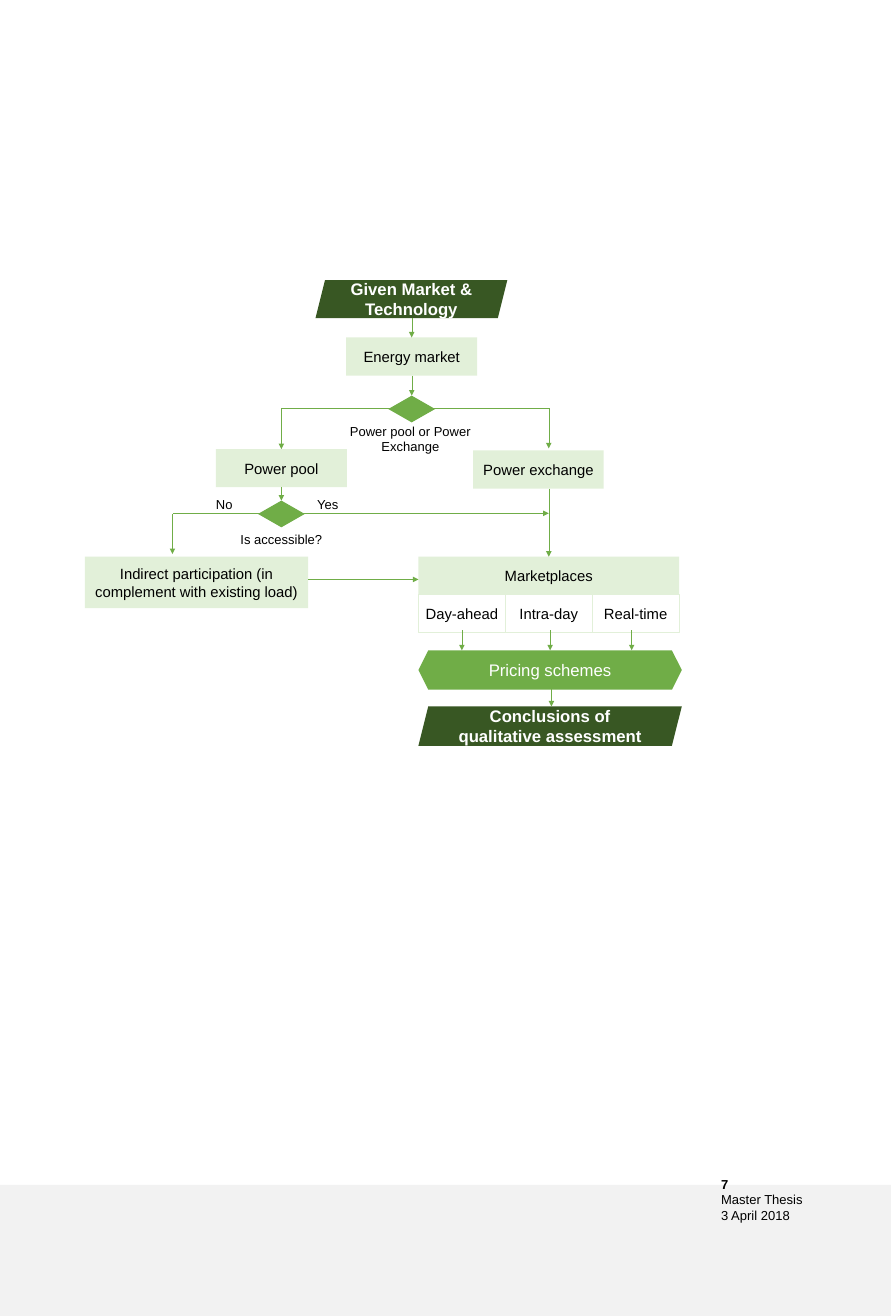
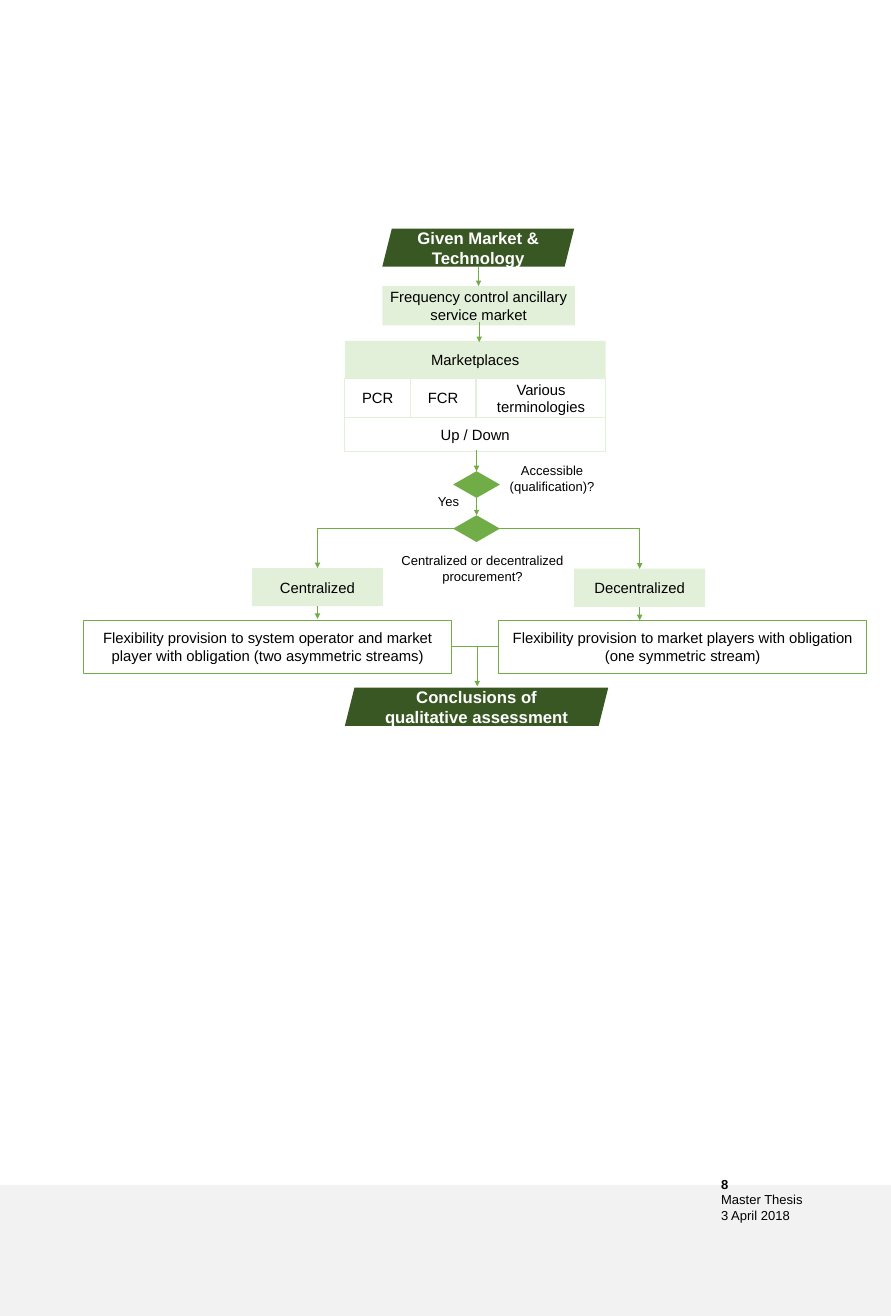
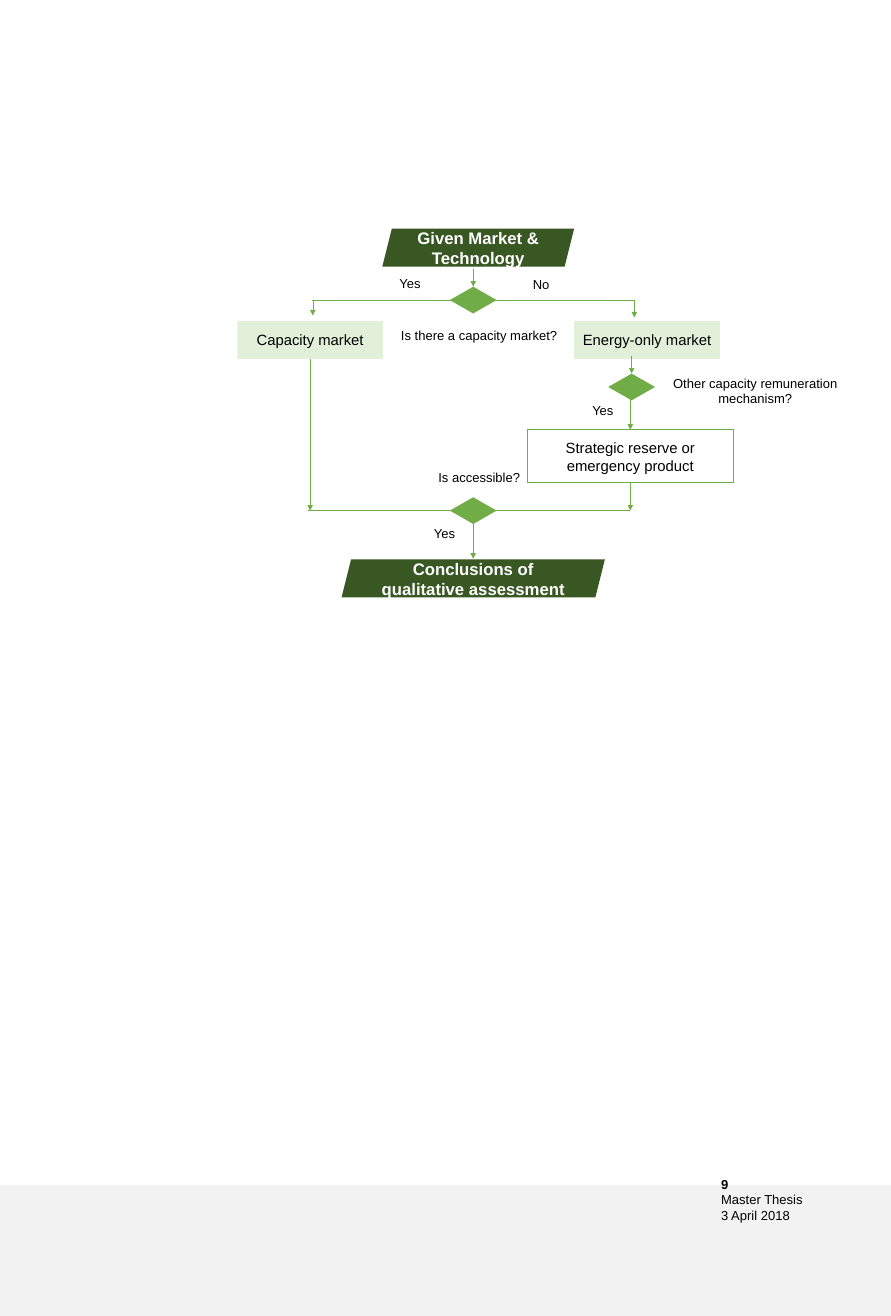
from lxml import etree
from pptx import Presentation
from pptx.dml.color import RGBColor
from pptx.enum.shapes import MSO_CONNECTOR, MSO_SHAPE
from pptx.enum.text import MSO_ANCHOR, PP_ALIGN
from pptx.oxml.ns import qn
from pptx.util import Pt

RECT, DIAMOND = MSO_SHAPE.RECTANGLE, MSO_SHAPE.DIAMOND
SLANTED, HEXAGON = MSO_SHAPE.PARALLELOGRAM, MSO_SHAPE.HEXAGON
STRAIGHT = MSO_CONNECTOR.STRAIGHT
CENTER, MIDDLE = PP_ALIGN.CENTER, MSO_ANCHOR.MIDDLE

PX = 9144  # 100 px to the inch
WIDTH, HEIGHT = 1333, 1969

THEME = {
    "font": "Arial",
    "dark": RGBColor(0x38, 0x57, 0x23),
    "green": RGBColor(0x70, 0xAD, 0x47),
    "pale": RGBColor(0xE2, 0xF0, 0xD9),
    "band": RGBColor(0xF2, 0xF2, 0xF2),
    "ink": RGBColor(0, 0, 0),
    "white": RGBColor(0xFF, 0xFF, 0xFF),
    "heading": Pt(18),
    "body": Pt(16),
    "small": Pt(14),
    "border": Pt(1),
    "arrow": Pt(0.5),
}

# kind: preset (None for plain text), fill, border, type size, text colour, bold
KINDS = {
    "terminal": (SLANTED, "dark", None, "heading", "white", True),
    "scheme": (HEXAGON, "green", None, "heading", "white", False),
    "step": (RECT, "pale", None, "body", "ink", False),
    "cell": (RECT, None, "pale", "body", "ink", False),
    "outcome": (RECT, None, "green", "body", "ink", False),
    "decision": (DIAMOND, "green", None, "small", "ink", False),
    "label": (None, None, None, "small", "ink", False),
    "band": (RECT, "band", None, "small", "ink", False),
}
START = "Given Market & Technology"
END = "Conclusions of qualitative assessment"


def style_font(font, size, color, bold):
    values = {"name": THEME["font"], "size": THEME[size], "bold": bold}
    for attribute, value in values.items():
        setattr(font, attribute, value)
    font.color.rgb = THEME[color]


def add_node(slide, kind, left, top, width, height, text=""):
    preset, fill, border, size, color, bold = KINDS[kind]
    place = [n * PX for n in (left, top, width, height)]
    if preset is None:
        node = slide.shapes.add_textbox(*place)
    else:
        node = slide.shapes.add_shape(preset, *place)
        node.shadow.inherit = False
        if fill:
            node.fill.solid()
            node.fill.fore_color.rgb = THEME[fill]
        else:
            node.fill.background()
        if border:
            node.line.color.rgb = THEME[border]
            node.line.width = THEME["border"]
        else:
            node.line.fill.background()
    if text:
        frame = node.text_frame
        settings = {"word_wrap": True, "vertical_anchor": MIDDLE,
                    "margin_left": 5 * PX, "margin_right": 5 * PX}
        for attribute, value in settings.items():
            setattr(frame, attribute, value)
        paragraph = frame.paragraphs[0]
        paragraph.alignment = CENTER
        run = paragraph.add_run()
        run.text = text
        style_font(run.font, size, color, bold)
    return node


# Nodes: kind, left, top, width, height, text
# Arrows and lines: x and y of the start, x and y of the end
energy_market = {
    "nodes": [
        ("terminal", 472, 419, 287, 57, START),
        ("step", 518, 505, 196, 57, "Energy market"),
        ("decision", 581, 592, 70, 40),
        ("label", 513, 628, 202, 57, "Power pool or Power Exchange"),
        ("step", 323, 672, 196, 57, "Power pool"),
        ("step", 708, 674, 195, 57, "Power exchange"),
        ("decision", 386, 749, 70, 40),
        ("label", 320, 779, 202, 57, "Is accessible?"),
        ("label", 281, 726, 109, 57, "No"),
        ("label", 435, 727, 111, 56, "Yes"),
        ("step", 127, 833, 334, 77, "Indirect participation (in complement with existing load)"),
        ("step", 626, 833, 390, 57, "Marketplaces"),
        *[("cell", 626 + 130 * column, 890, 130, 57, name)
          for column, name in enumerate(("Day-ahead", "Intra-day", "Real-time"))],
        ("scheme", 626, 973, 394, 59, "Pricing schemes"),
        ("terminal", 626, 1057, 394, 59, END),
    ],
    "arrows": [
        (616, 476, 616, 505),
        (616, 562, 616, 592),
        (421, 611, 421, 672),
        (821, 611, 821, 671),
        (421, 729, 421, 749),
        (259, 768, 821, 768),
        (258, 769, 258, 829),
        (821, 731, 821, 833),
        (461, 867, 626, 867),
        *[(x, 943, x, 973) for x in (691, 823, 945)],
        (825, 1026, 825, 1057),
    ],
    "lines": [(421, 611, 821, 611)],
}

ancillary_market = {
    "nodes": [
        ("terminal", 572, 342, 287, 57, START),
        ("step", 572, 428, 288, 59, "Frequency control ancillary service market"),
        ("step", 516, 510, 390, 57, "Marketplaces"),
        *[("cell", 516 + 98 * column, 567, 98, 57, name)
          for column, name in enumerate(("PCR", "FCR"))],
        ("cell", 713, 567, 193, 57, "Various terminologies"),
        ("cell", 516, 624, 390, 51, "Up / Down"),
        ("decision", 678, 705, 70, 40),
        ("label", 725, 687, 202, 57, "Accessible (qualification)?"),
        ("label", 613, 727, 116, 47, "Yes"),
        ("decision", 678, 771, 70, 40),
        ("label", 577, 816, 290, 68, "Centralized or decentralized procurement?"),
        ("step", 377, 850, 196, 57, "Centralized"),
        ("step", 859, 851, 196, 57, "Decentralized"),
        ("outcome", 125, 928, 551, 79,
         "Flexibility provision to system operator and market player "
         "with obligation (two asymmetric streams)"),
        ("outcome", 746, 928, 551, 79,
         "Flexibility provision to market players with obligation (one symmetric stream)"),
        ("terminal", 516, 1029, 394, 57, END),
    ],
    "arrows": [
        (716, 399, 716, 428),
        (717, 482, 717, 512),
        (713, 674, 713, 705),
        (713, 745, 713, 771),
        (475, 790, 475, 850),
        (957, 790, 957, 851),
        (475, 907, 475, 926),
        (957, 908, 957, 928),
        (714, 967, 714, 1027),
    ],
    "lines": [(475, 790, 957, 790), (676, 967, 746, 967)],
}

capacity_market = {
    "nodes": [
        ("terminal", 572, 342, 287, 57, START),
        ("decision", 673, 429, 70, 40),
        ("label", 572, 468, 290, 68, "Is there a capacity market?"),
        ("label", 554, 399, 119, 50, "Yes"),
        ("label", 750, 401, 119, 50, "No"),
        ("step", 355, 480, 218, 57, "Capacity market"),
        ("step", 859, 480, 218, 57, "Energy-only market"),
        ("decision", 910, 559, 70, 40),
        ("label", 985, 551, 290, 68, "Other capacity remuneration mechanism?"),
        ("label", 859, 584, 86, 59, "Yes"),
        ("outcome", 789, 643, 308, 79, "Strategic reserve or emergency product"),
        ("decision", 673, 744, 70, 40),
        ("label", 572, 680, 290, 68, "Is accessible?"),
        ("label", 622, 768, 86, 59, "Yes"),
        ("terminal", 511, 837, 394, 57, END),
    ],
    "arrows": [
        (708, 402, 708, 429),
        (468, 449, 468, 472),
        (949, 449, 949, 475),
        (945, 533, 945, 559),
        (943, 592, 943, 643),
        (943, 722, 943, 764),
        (464, 537, 464, 764),
        (708, 784, 708, 836),
    ],
    "lines": [(467, 449, 949, 449), (461, 764, 943, 764)],
}

deck = Presentation()
deck.slide_width, deck.slide_height = WIDTH * PX, HEIGHT * PX

for page, chart in enumerate((energy_market, ancillary_market, capacity_market), start=7):
    slide = deck.slides.add_slide(deck.slide_layouts[6])

    # Footer band with page number, document and date
    add_node(slide, "band", 0, 1773, WIDTH, HEIGHT - 1773)
    footer = slide.shapes.add_textbox(1069 * PX, 1755 * PX, 264 * PX, 81 * PX).text_frame
    footer.word_wrap = True
    for row, text in enumerate((str(page), "Master Thesis", "3 April 2018")):
        paragraph = footer.add_paragraph() if row else footer.paragraphs[0]
        run = paragraph.add_run()
        run.text = text
        style_font(run.font, "small", "ink", row == 0)

    # Nodes, keeping the side midpoints that connectors can join
    joints = {}
    for kind, left, top, width, height, *text in chart["nodes"]:
        node = add_node(slide, kind, left, top, width, height, *text)
        if KINDS[kind][0] in (RECT, DIAMOND):
            middle_x, middle_y = left + width // 2, top + height // 2
            sides = ((middle_x, top), (left, middle_y),
                     (middle_x, top + height), (left + width, middle_y))
            for site, point in enumerate(sides):
                joints[point] = (node, site)

    # Connectors
    for group in ("lines", "arrows"):
        for x1, y1, x2, y2 in chart[group]:
            flow = slide.shapes.add_connector(STRAIGHT, x1 * PX, y1 * PX, x2 * PX, y2 * PX)
            if (x1, y1) in joints:
                flow.begin_connect(*joints[x1, y1])
            if (x2, y2) in joints:
                flow.end_connect(*joints[x2, y2])
            flow.line.color.rgb = THEME["green"]
            flow.line.width = THEME["arrow"]
            if group == "arrows":
                etree.SubElement(flow.line._get_or_add_ln(), qn("a:tailEnd"), type="triangle")
            etree.SubElement(flow._element.spPr, qn("a:effectLst"))

deck.save("out.pptx")
